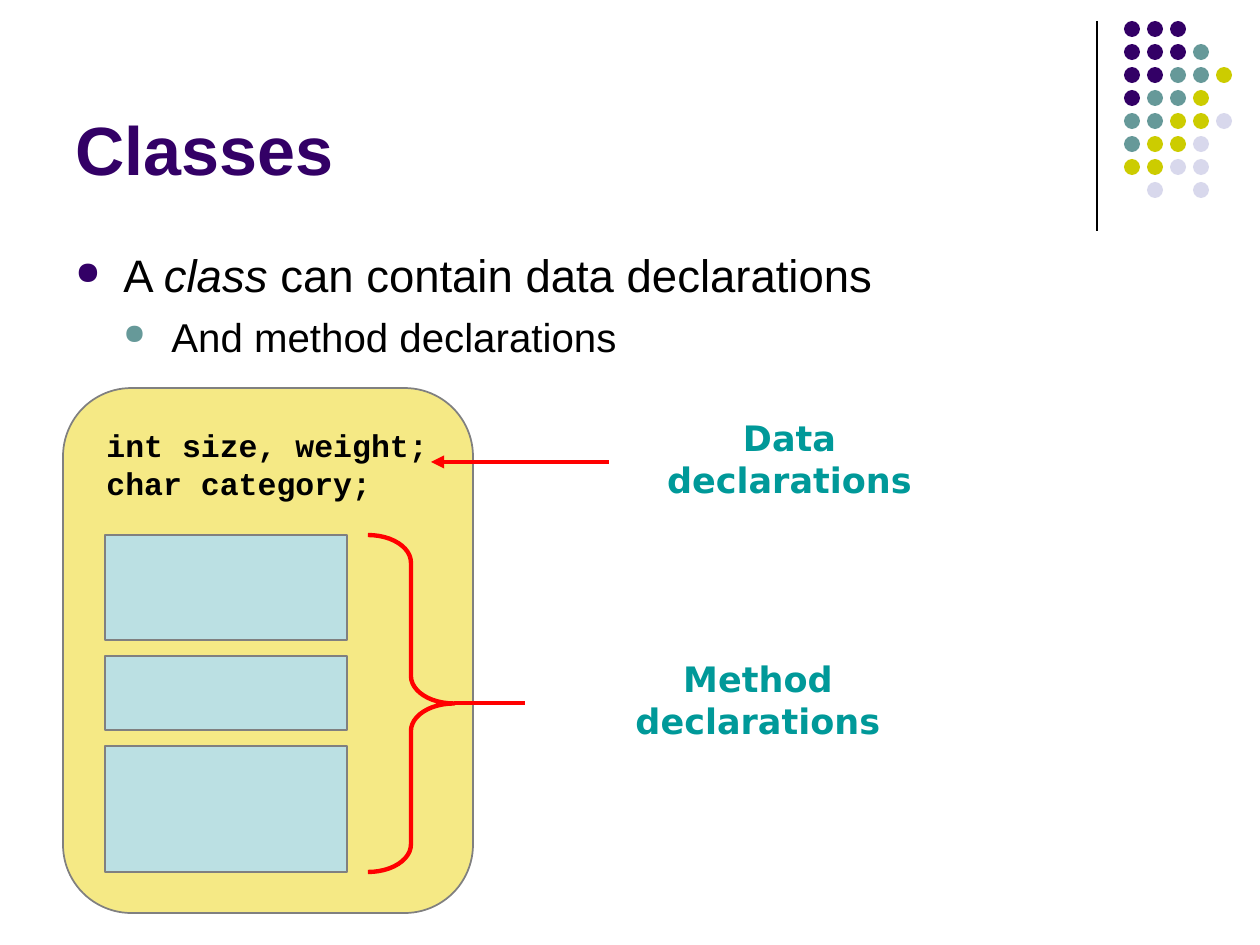
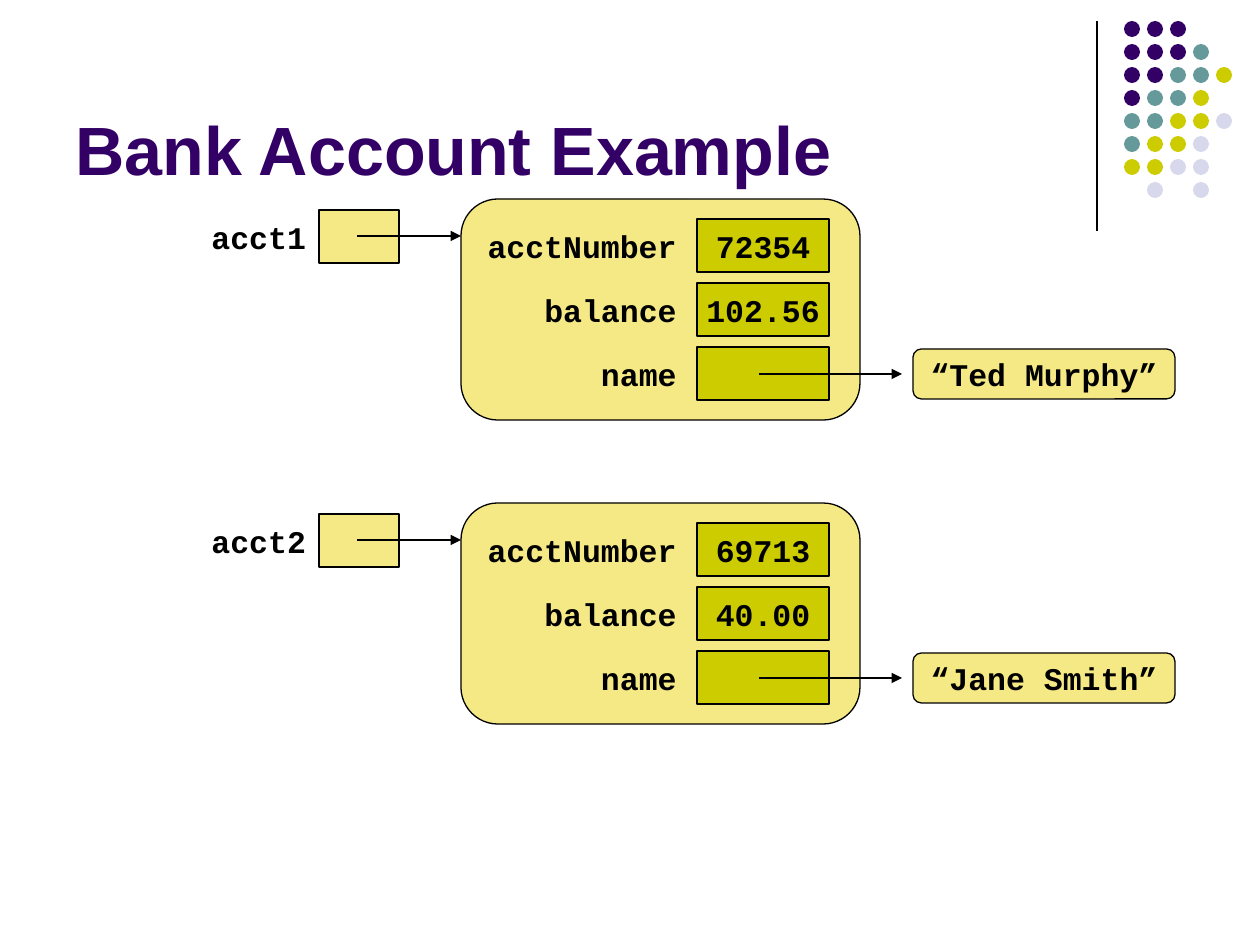
from dataclasses import dataclass
from typing import NamedTuple

from lxml.etree import SubElement
from pptx import Presentation
from pptx.dml.color import RGBColor
from pptx.enum.shapes import MSO_CONNECTOR, MSO_SHAPE as Preset
from pptx.enum.text import MSO_ANCHOR as Anchor, PP_ALIGN as Align
from pptx.oxml.ns import qn
from pptx.util import Emu, Pt

PX_PER_INCH = 126


@dataclass(frozen=True)
class Theme:
    purple: str = "330066"
    teal: str = "669999"
    olive: str = "CCCC00"
    lavender: str = "D8D8EC"
    cream: str = "F5E985"
    pale_blue: str = "BBE0E3"
    caption: str = "009999"
    red: str = "FF0000"
    grey: str = "808080"
    black: str = "000000"
    sans: str = "Arial"
    code: str = "Courier New"
    caption_font: str = "DejaVu Sans"
    title_size: int = 39
    point_size: int = 26
    subpoint_size: int = 23
    caption_size: int = 20
    code_size: int = 18
    hairline: float = 0.75
    outline: float = 1
    pointer: float = 2.5


THEME = Theme()


class Box(NamedTuple):
    left: int
    top: int
    width: int
    height: int


class Point(NamedTuple):
    x: int
    y: int


class Bullet(NamedTuple):
    text: str
    size: int
    color: str
    level: int
    before: float


class Account(NamedTuple):
    variable: str
    number: str
    balance: str
    owner: str


DOT_ROWS = ("PPP", "PPPT", "PPTTY", "PTTY", "TTYYL", "TYYL", "YYLL", " L L")
DOT_COLORS = {"P": THEME.purple, "T": THEME.teal, "Y": THEME.olive, "L": THEME.lavender}
DOT_PITCH, DOT_SIZE = 23, 16

BULLETS = (
    Bullet("A *class* can contain data declarations", THEME.point_size, THEME.purple, 0, 0),
    Bullet("And method declarations", THEME.subpoint_size, THEME.teal, 1, 5.8),
)
BULLET_INDENT = 48

METHOD_HEIGHTS = (105, 74, 126)
METHOD_GAP = 16

ACCOUNTS = (
    Account("acct1", "72354", "102.56", "“Ted Murphy”"),
    Account("acct2", "69713", "40.00", "“Jane Smith”"),
)
ACCOUNT_PITCH, FIELD_PITCH = 304, 64


def px(length: int) -> Emu:
    return Emu(round(length * 914400 / PX_PER_INCH))


def scaled(box: Box) -> list[Emu]:
    return [px(length) for length in box]


def write(frame, text: str, *, font: str = THEME.code, size: int = THEME.code_size,
          color: str = THEME.black, bold: bool = True, align=Align.LEFT,
          anchor=Anchor.MIDDLE, wrap: bool = False) -> None:
    """Fill a text frame; newlines split paragraphs and *stars* mark italics."""
    frame.word_wrap = wrap
    frame.vertical_anchor = anchor
    for index, line in enumerate(text.split("\n")):
        paragraph = frame.add_paragraph() if index else frame.paragraphs[0]
        paragraph.alignment = align
        add_runs(paragraph, line, font, size, color, bold)


def add_runs(paragraph, line: str, font: str, size: int, color: str, bold: bool) -> None:
    for index, part in enumerate(line.split("*")):
        run = paragraph.add_run()
        run.text = part
        run.font.name = font
        run.font.size = Pt(size)
        run.font.bold = bold
        run.font.italic = index % 2 == 1
        run.font.color.rgb = RGBColor.from_string(color)


def add_label(slide, box: Box, text: str, **style) -> None:
    write(slide.shapes.add_textbox(*scaled(box)).text_frame, text, **style)


def add_block(slide, preset, box: Box, fill: str | None, line: str | None = None,
              weight: float = THEME.hairline):
    block = slide.shapes.add_shape(preset, *scaled(box))
    block.shadow.inherit = False
    if fill:
        block.fill.solid()
        block.fill.fore_color.rgb = RGBColor.from_string(fill)
    else:
        block.fill.background()
    if line:
        block.line.color.rgb = RGBColor.from_string(line)
        block.line.width = Pt(weight)
    else:
        block.line.fill.background()
    return block


def add_line(slide, start: Point, end: Point, color: str = THEME.black,
             weight: float = THEME.hairline, arrow: bool = False) -> None:
    connector = slide.shapes.add_connector(
        MSO_CONNECTOR.STRAIGHT, px(start.x), px(start.y), px(end.x), px(end.y))
    connector.line.color.rgb = RGBColor.from_string(color)
    connector.line.width = Pt(weight)
    properties = connector.element.spPr
    if arrow:
        SubElement(properties.find(qn("a:ln")), qn("a:tailEnd"), type="triangle")
    SubElement(properties, qn("a:effectLst"))


def add_bullets(slide, box: Box, bullets: tuple[Bullet, ...]) -> None:
    frame = slide.shapes.add_textbox(*scaled(box)).text_frame
    frame.word_wrap = True
    for index, bullet in enumerate(bullets):
        paragraph = frame.add_paragraph() if index else frame.paragraphs[0]
        paragraph.level = bullet.level
        properties = paragraph._p.get_or_add_pPr()
        properties.set("marL", str(px(BULLET_INDENT * (bullet.level + 1))))
        properties.set("indent", str(-px(BULLET_INDENT)))
        bullet_color = SubElement(properties, qn("a:buClr"))
        SubElement(bullet_color, qn("a:srgbClr"), val=bullet.color)
        SubElement(properties, qn("a:buSzPct"), val="70000")
        SubElement(properties, qn("a:buChar"), char="●")
        paragraph.space_before = Pt(bullet.before)
        add_runs(paragraph, bullet.text, THEME.sans, bullet.size, THEME.black, False)


def add_titled_slide(deck, heading: str):
    """Add a slide with the shared title style, rule and dot pattern."""
    slide = deck.slides.add_slide(deck.slide_layouts[5])
    title = slide.shapes.title
    title.left, title.top, title.width, title.height = scaled(Box(63, 16, 1040, 179))
    write(title.text_frame, heading, font=THEME.sans, size=THEME.title_size,
          color=THEME.purple, anchor=Anchor.BOTTOM, wrap=True)
    add_line(slide, Point(1097, 21), Point(1097, 231))
    for row, dots in enumerate(DOT_ROWS):
        for column, dot in enumerate(dots):
            if dot in DOT_COLORS:
                spot = Box(1124 + column * DOT_PITCH, 21 + row * DOT_PITCH, DOT_SIZE, DOT_SIZE)
                add_block(slide, Preset.OVAL, spot, DOT_COLORS[dot])
    return slide


def add_caption(slide, box: Box, text: str) -> None:
    add_label(slide, box, text, font=THEME.caption_font, size=THEME.caption_size,
              color=THEME.caption, align=Align.CENTER, wrap=True)


def build_classes(deck) -> None:
    slide = add_titled_slide(deck, "Classes")
    add_bullets(slide, Box(63, 241, 1134, 130), BULLETS)

    add_block(slide, Preset.FLOWCHART_ALTERNATE_PROCESS, Box(63, 388, 410, 525),
              THEME.cream, THEME.grey, THEME.outline)
    top = methods_top = 535
    for height in METHOD_HEIGHTS:
        add_block(slide, Preset.RECTANGLE, Box(105, top, 242, height),
                  THEME.pale_blue, THEME.grey, THEME.outline)
        top += height + METHOD_GAP
    methods_height = top - METHOD_GAP - methods_top

    data = add_block(slide, Preset.RECTANGLE, Box(94, 420, 347, 88), THEME.cream)
    write(data.text_frame, "int size, weight;\nchar category;")

    add_caption(slide, Box(622, 431, 335, 55), "Data declarations")
    add_caption(slide, Box(564, 672, 388, 55), "Method declarations")
    add_line(slide, Point(609, 462), Point(431, 462), THEME.red, THEME.pointer, arrow=True)
    brace = add_block(slide, Preset.RIGHT_BRACE, Box(368, methods_top, 86, methods_height),
                      None, THEME.red, THEME.pointer)
    brace.adjustments[0] = 0.32
    middle = methods_top + methods_height // 2
    add_line(slide, Point(525, middle), Point(454, middle), THEME.red, THEME.pointer)


def draw_account(slide, account: Account, top: int) -> None:
    """Draw a variable pointing to its account object, whose top is given."""
    add_block(slide, Preset.RECTANGLE, Box(319, top + 11, 80, 53), THEME.cream, THEME.black)
    add_label(slide, Box(199, top + 13, 120, 50), account.variable, anchor=Anchor.TOP)
    add_block(slide, Preset.ROUNDED_RECTANGLE, Box(461, top, 399, 221),
              THEME.cream, THEME.black)
    add_line(slide, Point(357, top + 37), Point(461, top + 37), arrow=True)

    fields = (("acctNumber", account.number), ("balance", account.balance), ("name", ""))
    for index, (field, content) in enumerate(fields):
        field_top = top + 20 + index * FIELD_PITCH
        cell = add_block(slide, Preset.RECTANGLE, Box(697, field_top, 132, 53),
                         THEME.olive, THEME.black)
        if content:
            write(cell.text_frame, content, align=Align.CENTER)
        add_label(slide, Box(475, field_top + 2, 214, 50), field,
                  align=Align.RIGHT, anchor=Anchor.TOP, wrap=True)

    owner = add_block(slide, Preset.ROUNDED_RECTANGLE, Box(913, top + 150, 262, 50),
                      THEME.cream, THEME.black)
    write(owner.text_frame, account.owner, align=Align.CENTER)
    add_line(slide, Point(759, top + 175), Point(902, top + 175), arrow=True)


def build_bank_accounts(deck) -> None:
    slide = add_titled_slide(deck, "Bank Account Example")
    for index, account in enumerate(ACCOUNTS):
        draw_account(slide, account, 199 + index * ACCOUNT_PITCH)


def main() -> None:
    deck = Presentation()
    deck.slide_width, deck.slide_height = px(1260), px(945)
    build_classes(deck)
    build_bank_accounts(deck)
    deck.save("out.pptx")


if __name__ == "__main__":
    main()
